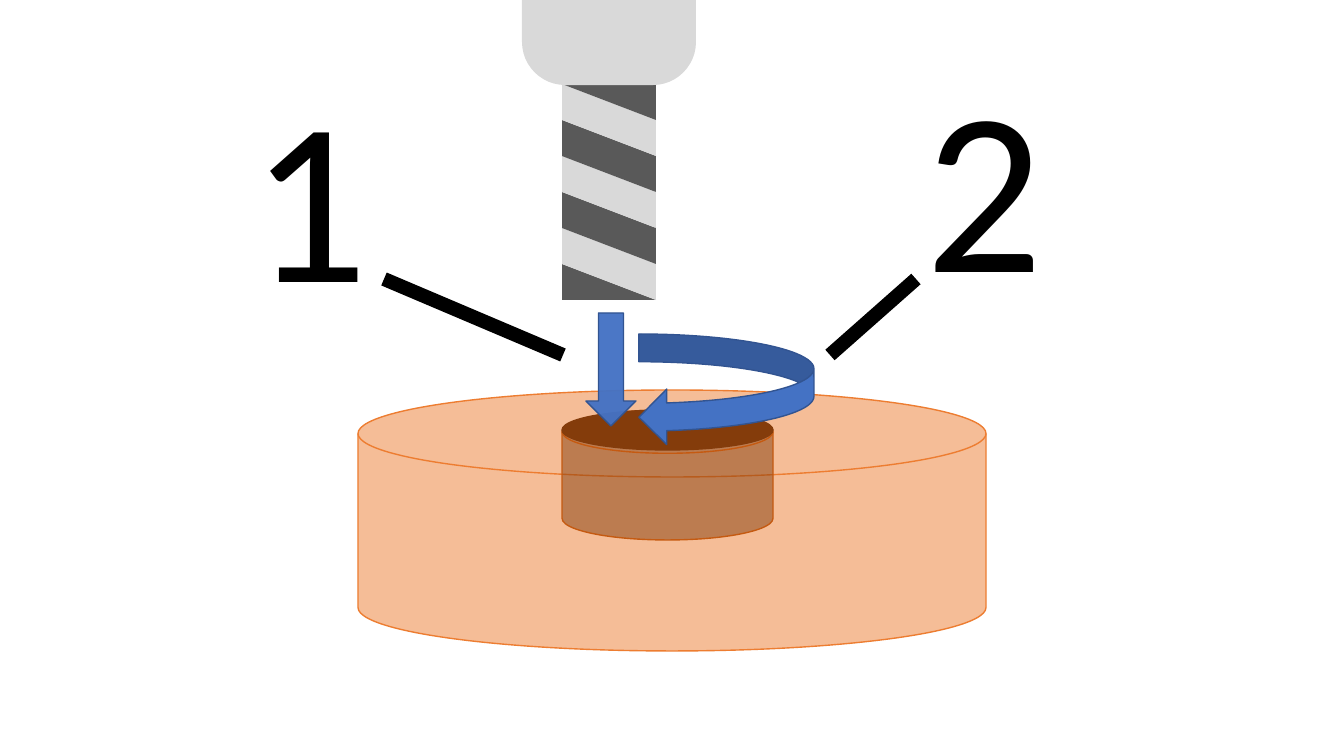
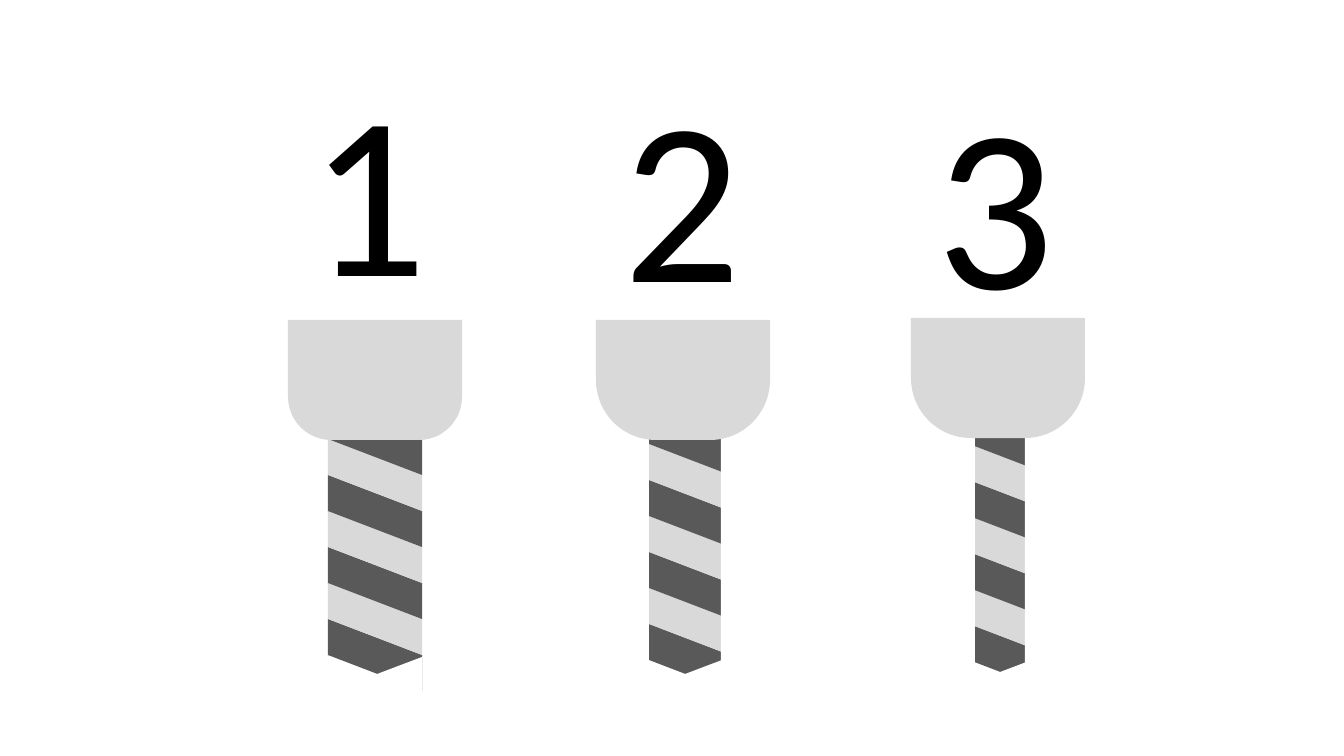
from lxml import etree
from pptx import Presentation
from pptx.dml.color import RGBColor
from pptx.enum.shapes import MSO_CONNECTOR, MSO_SHAPE
from pptx.enum.text import MSO_AUTO_SIZE
from pptx.oxml.ns import qn
from pptx.util import Emu, Pt

# Shape kinds
DISK = MSO_SHAPE.FLOWCHART_MAGNETIC_DISK
OVAL = MSO_SHAPE.OVAL
RECT = MSO_SHAPE.RECTANGLE
WEDGE = MSO_SHAPE.RIGHT_TRIANGLE
CAP = MSO_SHAPE.ROUND_2_SAME_RECTANGLE
DOWN = MSO_SHAPE.DOWN_ARROW
CURVE = MSO_SHAPE.CURVED_RIGHT_ARROW
STRAIGHT = MSO_CONNECTOR.STRAIGHT
GROW = MSO_AUTO_SIZE.SHAPE_TO_FIT_TEXT

# Shared colours, font and drill sizes
BLACK, WHITE = "000000", "FFFFFF"
LIGHT, DARK = "D9D9D9", "595959"
PEACH, BROWN, RUST = "ED7D31", "843C0B", "C55A11"
BLUE, NAVY = "4472C4", "325491"
FONT = "Calibri"
BIT_W, STEP, ROWS = 94, 36, 6


def px(n):
    return Emu(round(n * 914400 / 100.8))


def tint(part, color):
    part.solid()
    part.fore_color.rgb = RGBColor.from_string(color)


def fade(shape, percent):
    color = shape.element.spPr.find(qn("a:solidFill"))[0]
    etree.SubElement(color, qn("a:alpha"), val=str(percent * 1000))


def add(slide, kind, x, y, w, h, fill, line=None, alpha=None, turn=0,
        flip=False):
    shape = slide.shapes.add_shape(kind, px(x), px(y), px(w), px(h))
    shape.shadow.inherit = False
    shape.rotation = turn
    tint(shape.fill, fill)
    if alpha:
        fade(shape, alpha)
    if line:
        tint(shape.line.fill, line)
        shape.line.width = Pt(1)
    else:
        shape.line.fill.background()
    if flip:
        shape.element.spPr.get_or_add_xfrm().set("flipH", "1")
    return shape


def text(slide, words, x, y, w=139, h=291, size=166, color=BLACK, font=FONT):
    frame = slide.shapes.add_textbox(px(x), px(y), px(w), px(h)).text_frame
    frame.word_wrap = False
    frame.auto_size = GROW
    run = frame.paragraphs[0].add_run()
    run.text = words
    run.font.size = Pt(size)
    run.font.name = font
    run.font.color.rgb = RGBColor.from_string(color)


def lead(slide, x1, y1, x2, y2):
    line = slide.shapes.add_connector(STRAIGHT, px(x1), px(y1), px(x2), px(y2))
    tint(line.line.fill, BLACK)
    line.line.width = Pt(10)
    etree.SubElement(line.element.spPr, qn("a:effectLst"))


def twist(slide, x, y):
    """Stripes of the bit: each row is a light and a dark wedge."""
    for row in range(ROWS):
        top = y + row * STEP
        pair = (LIGHT, DARK) if row % 2 == 0 else (DARK, LIGHT)
        for color, turn in zip(pair, (0, 180)):
            add(slide, WEDGE, x, top, BIT_W, STEP, color, turn=turn)


def tip(slide, x, y):
    top = y + ROWS * STEP
    add(slide, WEDGE, x, top, BIT_W, STEP, DARK, turn=180)
    add(slide, WEDGE, x - 1, top + 2, BIT_W + 1, STEP, WHITE, flip=True)


def trim(slide, x, y, gap, side):
    """White strips that leave a bit of width gap."""
    mid = x + 49
    for left in (mid - gap / 2 - side, mid + gap / 2):
        add(slide, RECT, left, y, side, 233, WHITE)


def chuck(slide, x, y, curve):
    cap = add(slide, CAP, x - 40, y - 119, 174, 120, LIGHT, turn=180)
    cap.adjustments[0] = curve
    cap.adjustments[1] = 0


def bore(slide):
    # Workpiece and hole
    add(slide, DISK, 358, 390, 628, 261, PEACH, PEACH, alpha=50)
    add(slide, DISK, 562, 410, 211, 130, BROWN, RUST, alpha=50)
    add(slide, OVAL, 562, 410, 211, 40, BROWN, BROWN)
    # Motion arrows
    add(slide, DOWN, 586, 313, 50, 113, BLUE, NAVY, alpha=96)
    add(slide, CURVE, 639, 334, 175, 111, BLUE, NAVY, flip=True)
    # Drill
    twist(slide, 562, 84)
    chuck(slide, 562, 84, 0.36)
    # Numbers and leads
    text(slide, "1", 241, 45)
    text(slide, "2", 916, 35)
    lead(slide, 384, 279, 563, 355)
    lead(slide, 830, 355, 916, 279)


def sizes(slide):
    # Bit left and top, cap curve, width after trim, strip width
    drills = [(328, 439, 0.36, None, 0),
              (636, 439, 0.5, 72, 34),
              (951, 437, 0.5, 50, 57)]
    for x, y, curve, gap, side in drills:
        twist(slide, x, y)
        tip(slide, x, y)
        if gap:
            trim(slide, x, y - 1, gap, side)
        chuck(slide, x, y, curve)
    # Numbers
    for words, x, y in [("1", 300, 39), ("2", 614, 45), ("3", 927, 52)]:
        text(slide, words, x, y)


def main():
    deck = Presentation()
    deck.slide_width, deck.slide_height = px(1344), px(756)
    for draw in (bore, sizes):
        draw(deck.slides.add_slide(deck.slide_layouts[6]))
    deck.save("out.pptx")


main()
